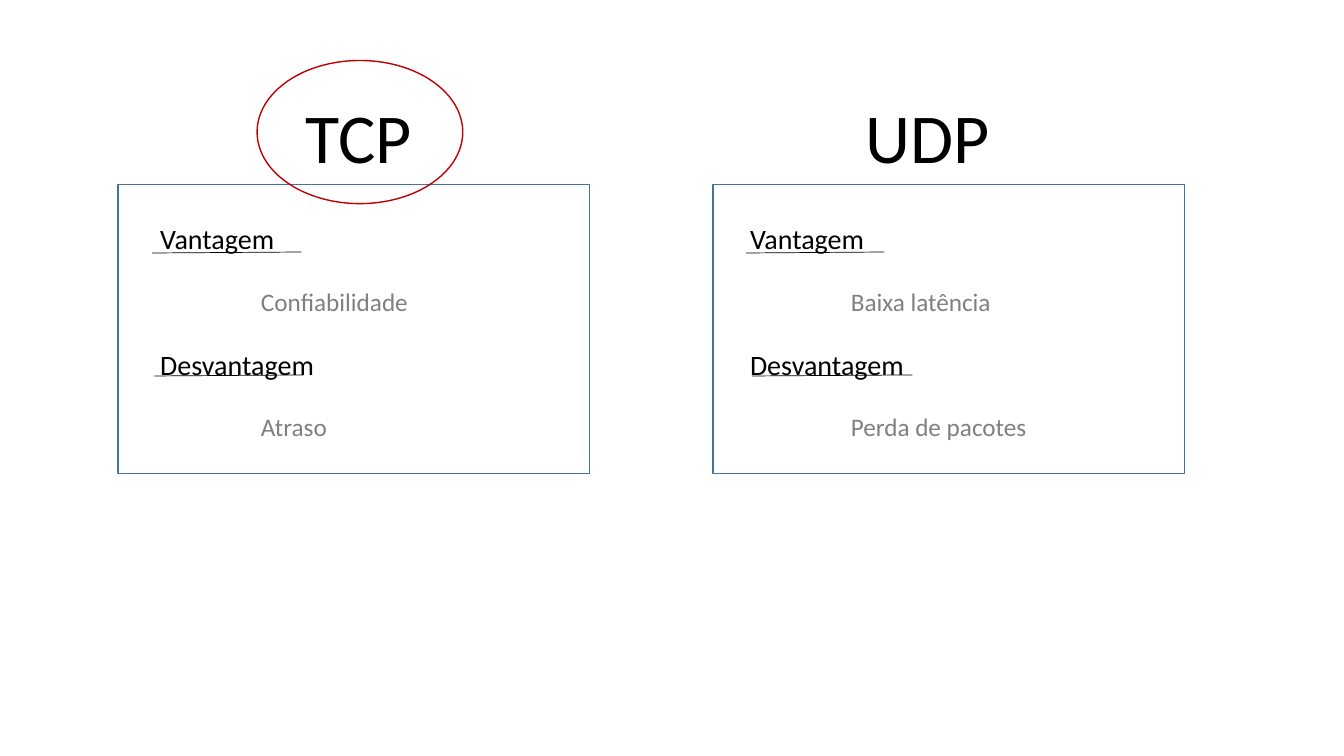
from dataclasses import dataclass

from lxml.etree import SubElement
from pptx import Presentation
from pptx.dml.color import RGBColor
from pptx.enum.shapes import MSO_CONNECTOR, MSO_SHAPE
from pptx.oxml.ns import qn
from pptx.shapes.shapetree import GroupShapes, SlideShapes
from pptx.text.text import TextFrame
from pptx.util import Inches, Pt

BLACK = RGBColor(0x00, 0x00, 0x00)
GRAY = RGBColor(0x80, 0x80, 0x80)
BLUE = RGBColor(0x43, 0x73, 0x9E)
RED = RGBColor(0xC0, 0x00, 0x00)
FONT = "Calibri"
GAP = 22  # points between lines of a card
RULE_TOPS = (2.5, 3.72)


@dataclass
class Card:
    title: str
    title_left: float
    left: float
    text_left: float
    pro: str
    con: str
    rules: tuple[tuple[float, float], ...]  # left and right of each underline


CARDS = [
    Card("TCP", 2.93, 1.17, 1.49, "Confiabilidade", "Atraso",
         ((1.51, 2.99), (1.53, 3.01))),
    Card("UDP", 8.49, 7.07, 7.34, "Baixa latência", "Perda de pacotes",
         ((7.4, 8.77), (7.46, 9.05))),
]


def add_box(shapes: SlideShapes | GroupShapes, left: float, top: float,
            width: float, height: float) -> TextFrame:
    box = shapes.add_textbox(Inches(left), Inches(top), Inches(width), Inches(height))
    box.text_frame.word_wrap = True
    return box.text_frame


def add_text(frame: TextFrame, text: str, size: int, color: RGBColor,
             indent: float = 0, before: int = 0) -> None:
    # The first text goes into the paragraph the frame already has
    para = frame.add_paragraph() if frame.text else frame.paragraphs[0]
    para.text = text
    para.font.name = FONT
    para.font.size = Pt(size)
    para.font.color.rgb = color
    para.space_before = Pt(before)
    if indent:
        props = para._p.get_or_add_pPr()
        props.set("marL", str(Inches(indent)))
        props.set("indent", "0")


def add_rule(shapes: GroupShapes, left: float, right: float, top: float) -> None:
    rule = shapes.add_connector(MSO_CONNECTOR.STRAIGHT, Inches(left),
                                Inches(top + 0.01), Inches(right), Inches(top))
    rule.line.color.rgb = BLACK
    rule.line.width = Pt(0.5)
    SubElement(rule._element.spPr, qn("a:effectLst"))


def add_frame(shapes: SlideShapes, kind: MSO_SHAPE, left: float, top: float,
              width: float, height: float, color: RGBColor) -> None:
    frame = shapes.add_shape(kind, Inches(left), Inches(top), Inches(width), Inches(height))
    frame.shadow.inherit = False
    frame.fill.background()
    frame.line.color.rgb = color
    frame.line.width = Pt(1)


def add_card(shapes: SlideShapes, card: Card) -> None:
    add_text(add_box(shapes, card.title_left, 0.88, 1.82, 0.94), card.title, 50, BLACK)

    # Pros and cons with their underlines
    group = shapes.add_group_shape().shapes
    body = add_box(group, card.text_left, 2.15, 5.19, 2.29)
    add_text(body, "Vantagem", 20, BLACK)
    add_text(body, card.pro, 18, GRAY, indent=1, before=GAP)
    add_text(body, "Desvantagem", 20, BLACK, before=GAP)
    add_text(body, card.con, 18, GRAY, indent=1, before=GAP)
    for (left, right), top in zip(card.rules, RULE_TOPS):
        add_rule(group, left, right, top)

    add_frame(shapes, MSO_SHAPE.RECTANGLE, card.left, 1.83, 4.68, 2.87, BLUE)


def main() -> None:
    deck = Presentation()
    deck.slide_width = Inches(13.33)
    deck.slide_height = Inches(7.5)
    shapes = deck.slides.add_slide(deck.slide_layouts[6]).shapes

    for card in CARDS:
        add_card(shapes, card)

    # Ring around the chosen protocol
    add_frame(shapes, MSO_SHAPE.OVAL, 2.55, 0.6, 2.04, 1.42, RED)
    deck.save("out.pptx")


if __name__ == "__main__":
    main()
